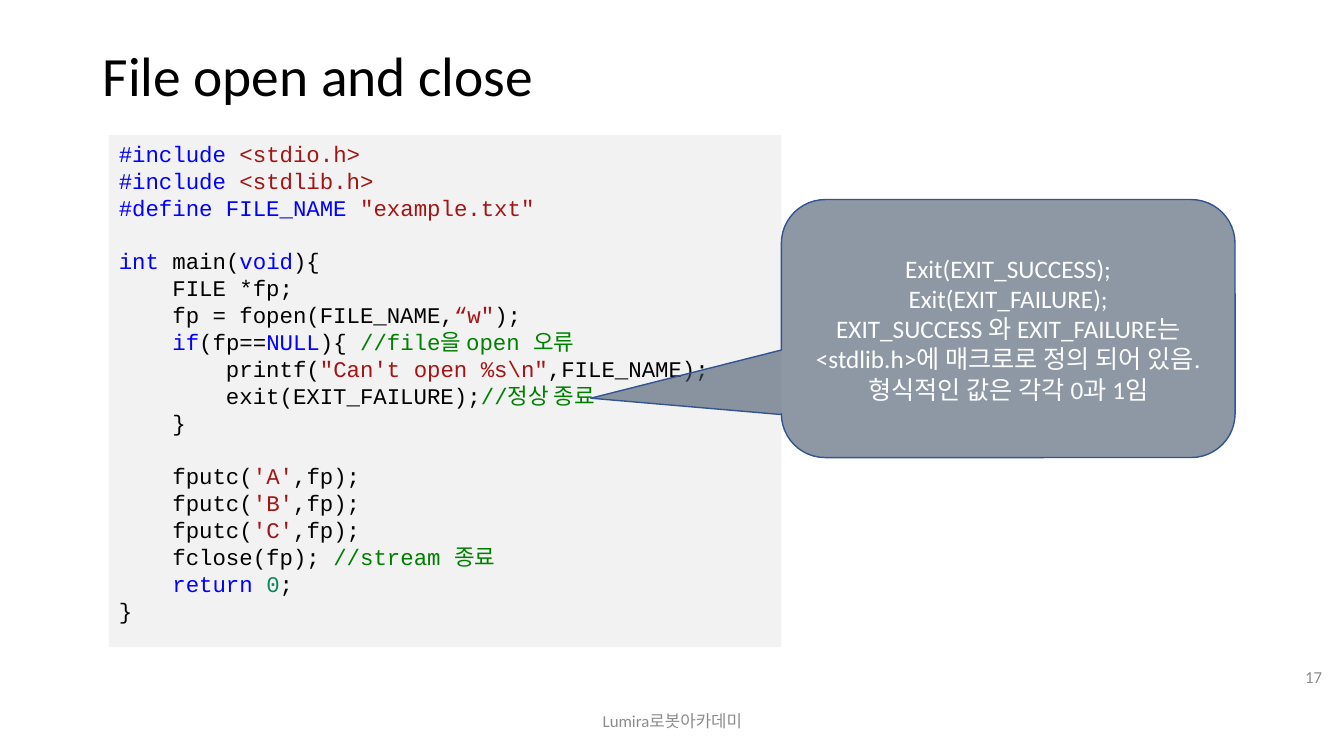
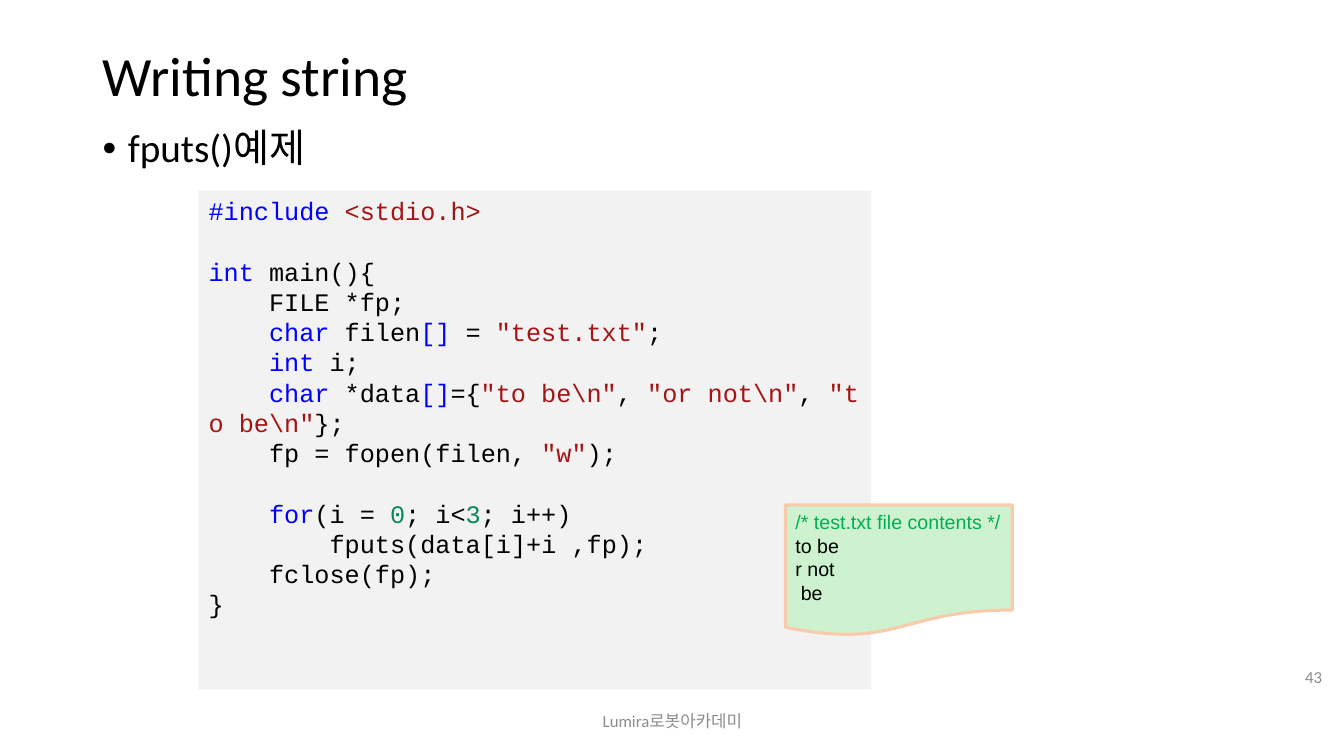
"""Build two lecture slides about writing files in C."""
import pptx
import pptx.dml.color
import pptx.enum.shapes
import pptx.enum.text
import pptx.oxml
import pptx.oxml.ns
import pptx.util

Inches = pptx.util.Inches
Pt = pptx.util.Pt
Shape = pptx.enum.shapes.MSO_SHAPE
Anchor = pptx.enum.text.MSO_ANCHOR
Align = pptx.enum.text.PP_ALIGN

COLORS = {
    "text": "000000",
    "footer": "8C8C8C",
    "panel": "F2F2F2",
    "callout": "44546A",
    "callout_line": "325491",
    "callout_text": "FFFFFF",
    "note": "CEF2CF",
    "note_line": "F8CBAD",
    "note_heading": "00B050",
}
CODE_COLORS = {
    "p": "000000",
    "k": "0000FF",
    "s": "A31515",
    "n": "09885A",
    "c": "008000",
}
NO_BREAK_SPACE = chr(160)
FOOTER = "Lumira로봇아카데미"

OPEN_CLOSE_CODE = r"""
§k#include §s<stdio.h>
§k#include §s<stdlib.h>
§k#define FILE_NAME §s"example.txt"

§kint§p main(§kvoid§p){
§p    FILE *fp;
§p    fp = fopen(FILE_NAME,§s“w"§p);
§p    §kif§p(fp==§kNULL§p){ §c//file을 open 오류
§p        printf(§s"Can't open %s\n"§p,FILE_NAME);
§p        exit(EXIT_FAILURE);§c//정상 종료
§p    }

§p    fputc(§s'A'§p,fp);
§p    fputc(§s'B'§p,fp);
§p    fputc(§s'C'§p,fp);
§p    fclose(fp); §c//stream 종료
§p    §kreturn §n0§p;
§p}
"""

STRING_CODE = r"""
§k#include §s<stdio.h>

§kint§p main(){
§p    FILE *fp;
§p    §kchar §pfilen§k[]§p = §s"test.txt"§p;
§p    §kint §pi;
§p    §kchar§p *data§k[]§p={§s"to be\n"§p, §s"or not\n"§p, §s"to be\n"§p};
§p    fp = fopen(filen, §s"w"§p);

§p    §kfor§p(i = §n0§p; i<§n3§p; i++)
§p        fputs(data[i]+i ,fp);
§p    fclose(fp);
§p}
"""


def rgb(value):
    """Turn a hex string into a colour."""
    return pptx.dml.color.RGBColor.from_string(value)


def add_run(paragraph, text, size, color, font="Calibri"):
    """Append formatted text to a paragraph."""
    run = paragraph.add_run()
    run.text = text
    run.font.name = font
    run.font.size = Pt(size)
    run.font.color.rgb = rgb(color)


def next_paragraph(frame, index):
    """Return the first paragraph of a frame, or a new one after it."""
    return frame.add_paragraph() if index else frame.paragraphs[0]


def write_lines(frame, lines, size, color, font="Calibri",
                align=Align.LEFT, anchor=Anchor.TOP, wrap=True):
    """Write one paragraph per line and return the last one."""
    frame.word_wrap = wrap
    frame.vertical_anchor = anchor
    for index, line in enumerate(lines):
        paragraph = next_paragraph(frame, index)
        paragraph.alignment = align
        add_run(paragraph, line, size, color, font)
    return paragraph


def add_text(slide, box, text, size, color="text", **layout):
    """Add a one-line text box and return its paragraph."""
    frame = slide.shapes.add_textbox(*map(Inches, box)).text_frame
    return write_lines(frame, [text], size, COLORS[color], **layout)


def add_filled_shape(slide, kind, box, fill, line=None, line_width=1):
    """Add a flat preset shape."""
    shape = slide.shapes.add_shape(kind, *map(Inches, box))
    shape.shadow.inherit = False
    shape.fill.solid()
    shape.fill.fore_color.rgb = rgb(COLORS[fill])
    if line:
        shape.line.color.rgb = rgb(COLORS[line])
        shape.line.width = Pt(line_width)
    else:
        shape.line.fill.background()
    return shape


def add_code_panel(slide, box, code, size):
    """Add a grey panel of coloured code, with gaps for its empty lines."""
    frame = add_filled_shape(slide, Shape.RECTANGLE, box, "panel").text_frame
    frame.word_wrap = True
    frame.vertical_anchor = Anchor.TOP
    pitch = Pt(size * 1.2)
    for block_index, block in enumerate(code.strip().split("\n\n")):
        for line_index, line in enumerate(block.split("\n")):
            paragraph = next_paragraph(frame, block_index + line_index)
            paragraph.alignment = Align.LEFT
            paragraph.line_spacing = pitch
            if block_index and not line_index:
                paragraph.space_before = pitch
            for part in line.split("§")[1:]:
                text = part[1:].replace(" ", NO_BREAK_SPACE)
                add_run(paragraph, text, size, CODE_COLORS[part[0]],
                        "Courier New")


def add_callout(slide, box, lines, adjustments):
    """Add a translucent speech bubble."""
    shape = add_filled_shape(slide, Shape.ROUNDED_RECTANGULAR_CALLOUT, box,
                             "callout", "callout_line")
    for index, value in enumerate(adjustments):
        shape.adjustments[index] = value
    fill_color = shape.fill._xPr.find(".//" + pptx.oxml.ns.qn("a:srgbClr"))
    fill_color.append(pptx.oxml.parse_xml(
        f'<a:alpha {pptx.oxml.ns.nsdecls("a")} val="60000"/>'))
    write_lines(shape.text_frame, lines, 18, COLORS["callout_text"],
                align=Align.CENTER, anchor=Anchor.MIDDLE)


def add_file_note(slide, box, heading, lines):
    """Add a document shape that shows the contents of a file."""
    shape = add_filled_shape(slide, Shape.FLOWCHART_DOCUMENT, box,
                             "note", "note_line", 2.25)
    write_lines(shape.text_frame, [heading, *lines], 14, COLORS["text"],
                font="Arial", wrap=False)
    heading_run = shape.text_frame.paragraphs[0].runs[0]
    heading_run.font.color.rgb = rgb(COLORS["note_heading"])


def add_bullet(slide, box, text):
    """Add a bulleted line."""
    paragraph = add_text(slide, box, text, 28)
    paragraph.line_spacing = 0.9
    properties = paragraph._p.get_or_add_pPr()
    properties.set("marL", str(Inches(0.25)))
    properties.set("indent", str(Inches(-0.25)))
    namespace = pptx.oxml.ns.nsdecls("a")
    properties.append(pptx.oxml.parse_xml(
        f'<a:buFont {namespace} typeface="Arial"/>'))
    properties.append(pptx.oxml.parse_xml(
        f'<a:buChar {namespace} char="•"/>'))


def add_slide(presentation, title, number):
    """Add a slide with its title, footer and page number."""
    slide = presentation.slides.add_slide(presentation.slide_layouts[6])
    heading = add_text(slide, (0.92, 0.4, 11.5, 0.75), title, 39.6,
                       anchor=Anchor.MIDDLE)
    heading.line_spacing = 0.9
    add_text(slide, (4.42, 6.95, 4.5, 0.4), FOOTER, 12, "footer",
             align=Align.CENTER, anchor=Anchor.MIDDLE)
    add_text(slide, (12.59, 6.51, 0.62, 0.4), str(number), 12, "footer",
             align=Align.RIGHT, anchor=Anchor.MIDDLE)
    return slide


def main():
    """Build and save the presentation."""
    presentation = pptx.Presentation()
    presentation.slide_width = Inches(13.33)
    presentation.slide_height = Inches(7.5)

    slide = add_slide(presentation, "File open and close", 17)
    add_code_panel(slide, (1.08, 1.34, 6.67, 5.08), OPEN_CLOSE_CODE, 16)
    add_callout(slide, (7.75, 1.98, 4.5, 2.56), [
        "Exit(EXIT_SUCCESS);",
        "Exit(EXIT_FAILURE);",
        "EXIT_SUCCESS 와 EXIT_FAILURE는 <stdlib.h>에 매크로로 정의 되어 있음.",
        "형식적인 값은 각각 0과 1임",
    ], (-0.92, 0.27, 0.17))

    slide = add_slide(presentation, "Writing string", 43)
    add_bullet(slide, (0.92, 1.23, 11.5, 5.53), "fputs()예제")
    add_code_panel(slide, (1.97, 1.89, 6.67, 4.95), STRING_CODE, 18)
    add_file_note(slide, (7.79, 5.01, 2.25, 1.3),
                  "/* test.txt file contents */", ["to be", "r not", " be"])

    presentation.save("out.pptx")


if __name__ == "__main__":
    main()
